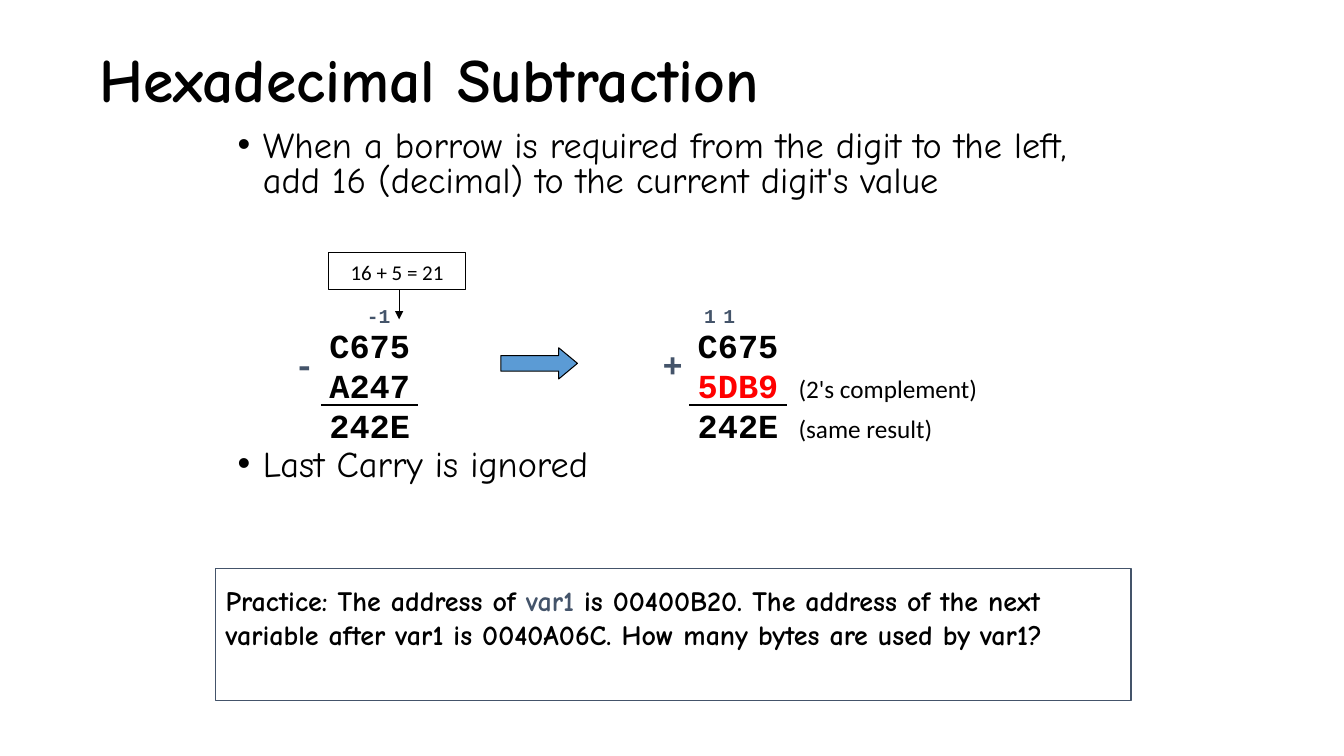
"""Build the hexadecimal subtraction slide."""
from dataclasses import dataclass

import pptx
import pptx.dml.color
import pptx.enum.dml
import pptx.enum.shapes
import pptx.enum.text
import pptx.oxml
import pptx.oxml.ns
import pptx.util

Pt = pptx.util.Pt
RGBColor = pptx.dml.color.RGBColor
Align = pptx.enum.text.PP_ALIGN
Anchor = pptx.enum.text.MSO_ANCHOR
Shape = pptx.enum.shapes.MSO_SHAPE

BLACK = RGBColor(0x00, 0x00, 0x00)
WHITE = RGBColor(0xFF, 0xFF, 0xFF)
RED = RGBColor(0xFF, 0x00, 0x00)
SLATE = RGBColor(0x44, 0x54, 0x6A)
BLUE = RGBColor(0x5B, 0x9B, 0xD5)
COMIC, CODE, PLAIN = "Comic Neue", "Courier New", "Calibri"
WIDE_INSETS = (7.2, 10.8, 7.2, 10.8)
BULLET_INDENT = 18


@dataclass(frozen=True)
class Span:
    text: str
    size: float
    font: str
    color: RGBColor = BLACK
    bold: bool = False


@dataclass(frozen=True)
class Carry:
    text: str
    left: float
    align: Align


@dataclass(frozen=True)
class Sum:
    left: float
    width: float
    operator: str
    rows: list[list[Span]]
    carries: list[Carry]


def code(text: str, color: RGBColor = BLACK, size: float = 24) -> Span:
    return Span(text, size, CODE, color, bold=True)


def write(box, paras: list[list[Span]], *, insets=WIDE_INSETS, anchor=Anchor.TOP,
          align=Align.LEFT, line_spacing: float = 1.0, gap: float = 0,
          bullets: bool = False) -> None:
    frame = box.text_frame
    frame.word_wrap = True
    frame.vertical_anchor = anchor
    frame.margin_left, frame.margin_top, frame.margin_right, frame.margin_bottom = map(Pt, insets)
    for index, spans in enumerate(paras):
        para = frame.add_paragraph() if index else frame.paragraphs[0]
        para.alignment = align
        para.line_spacing = line_spacing
        para.space_before = Pt(gap if index else 0)
        if bullets:
            properties = para._p.get_or_add_pPr()
            properties.set("marL", str(Pt(BULLET_INDENT)))
            properties.set("indent", str(-Pt(BULLET_INDENT)))
            namespace = pptx.oxml.ns.nsdecls("a")
            for tag in ('buFont typeface="Arial"', 'buChar char="•"'):
                properties.append(pptx.oxml.parse_xml(f"<a:{tag} {namespace}/>".replace("/>", "/>")))
        for span in spans:
            run = para.add_run()
            run.text = span.text
            run.font.size = Pt(span.size)
            run.font.name = span.font
            run.font.bold = span.bold
            run.font.color.rgb = span.color


def add_text(slide, left: float, top: float, width: float, height: float,
             paras: list[list[Span]], **layout) -> None:
    box = slide.shapes.add_textbox(Pt(left), Pt(top), Pt(width), Pt(height))
    write(box, paras, **layout)


def add_block(slide, kind: Shape, left: float, top: float, width: float, height: float,
              line: RGBColor, fill: RGBColor | None = None):
    block = slide.shapes.add_shape(kind, Pt(left), Pt(top), Pt(width), Pt(height))
    block.shadow.inherit = False
    if fill is None:
        block.fill.background()
    else:
        block.fill.solid()
        block.fill.fore_color.rgb = fill
    block.line.color.rgb = line
    block.line.width = Pt(0.75)
    return block


def add_line(slide, start: tuple[float, float], end: tuple[float, float],
             width: float, arrow: bool = False) -> None:
    line = slide.shapes.add_connector(
        pptx.enum.shapes.MSO_CONNECTOR.STRAIGHT, *map(Pt, start + end))
    line.line.color.rgb = BLACK
    line.line.width = Pt(width)
    namespace = pptx.oxml.ns.nsdecls("a")
    if arrow:
        line.line._get_or_add_ln().append(
            pptx.oxml.parse_xml(f'<a:tailEnd {namespace} type="triangle"/>'))
    line._element.spPr.append(pptx.oxml.parse_xml(f"<a:effectLst {namespace}/>"))


def add_sum(slide, item: Sum) -> None:
    add_text(slide, item.left, 221, item.width, 108.7, item.rows)
    add_line(slide, (item.left + 1, 289.4), (item.left + 70.5, 289.4), 1.5)
    add_text(slide, item.left - 25, 234.7, 23.8, 51.1, [[code(item.operator, SLATE)]])
    for carry in item.carries:
        add_text(slide, carry.left, 216.7, 18, 17.3, [[code(carry.text, SLATE, 14)]],
                 insets=(0, 0, 0, 0), anchor=Anchor.MIDDLE, align=carry.align)


def main() -> None:
    deck = pptx.Presentation()
    deck.slide_width, deck.slide_height = Pt(960), Pt(540)
    slide = deck.slides.add_slide(deck.slide_layouts[6])

    add_text(slide, 64, 6.5, 828, 104.4,
             [[Span("Hexadecimal Subtraction", 44, COMIC, bold=True)]],
             insets=(7.2, 3.6, 7.2, 3.6), anchor=Anchor.MIDDLE, line_spacing=0.9)
    rules = ["When a borrow is required from the digit to the left, "
             "add 16 (decimal) to the current digit's value",
             "Last Carry is ignored"]
    add_text(slide, 162.7, 90, 612.7, 302.4, [[Span(rule, 25.9, COMIC)] for rule in rules],
             insets=(7.2, 3.6, 7.2, 3.6), line_spacing=0.8, gap=178, bullets=True)

    practice = add_block(slide, Shape.RECTANGLE, 154.1, 406.1, 653.8, 94.3, SLATE)
    write(practice, [[
        Span("Practice: The address of ", 20, COMIC, bold=True),
        Span("var1", 20, COMIC, SLATE, True),
        Span(" is 00400B20. The address of the next variable after var1 is 0040A06C. "
             "How many bytes are used by var1?", 20, COMIC, bold=True)]])

    add_line(slide, (285.1, 203), (285.1, 228.2), 0.75, arrow=True)
    borrow = add_block(slide, Shape.RECTANGLE, 234.7, 180.7, 97.9, 25.9, BLACK, WHITE)
    write(borrow, [[Span("16 + 5 = 21", 15, PLAIN)]], insets=(7.2, 2.9, 7.2, 2.9),
          anchor=Anchor.MIDDLE, align=Align.CENTER, line_spacing=1.1)
    arrow = add_block(slide, Shape.RIGHT_ARROW, 357.8, 248.4, 54.7, 22.3, BLACK, BLUE)
    arrow.adjustments[0], arrow.adjustments[1] = 0.5, 0.6

    sums = [
        Sum(228.2, 115.9, "-", [[code("C675")], [code("A247")], [code("242E")]],
            [Carry("-1", 262.1, Align.LEFT)]),
        Sum(491.3, 229, "+",
            [[code("C675")],
             [code("5DB9 ", RED), Span("(2's complement)", 18, PLAIN)],
             [code("242E "), Span("(same result)", 18, PLAIN)]],
            [Carry("1", 511.9, Align.CENTER), Carry("1", 498.2, Align.CENTER)]),
    ]
    for item in sums:
        add_sum(slide, item)
    deck.save("out.pptx")


if __name__ == "__main__":
    main()
